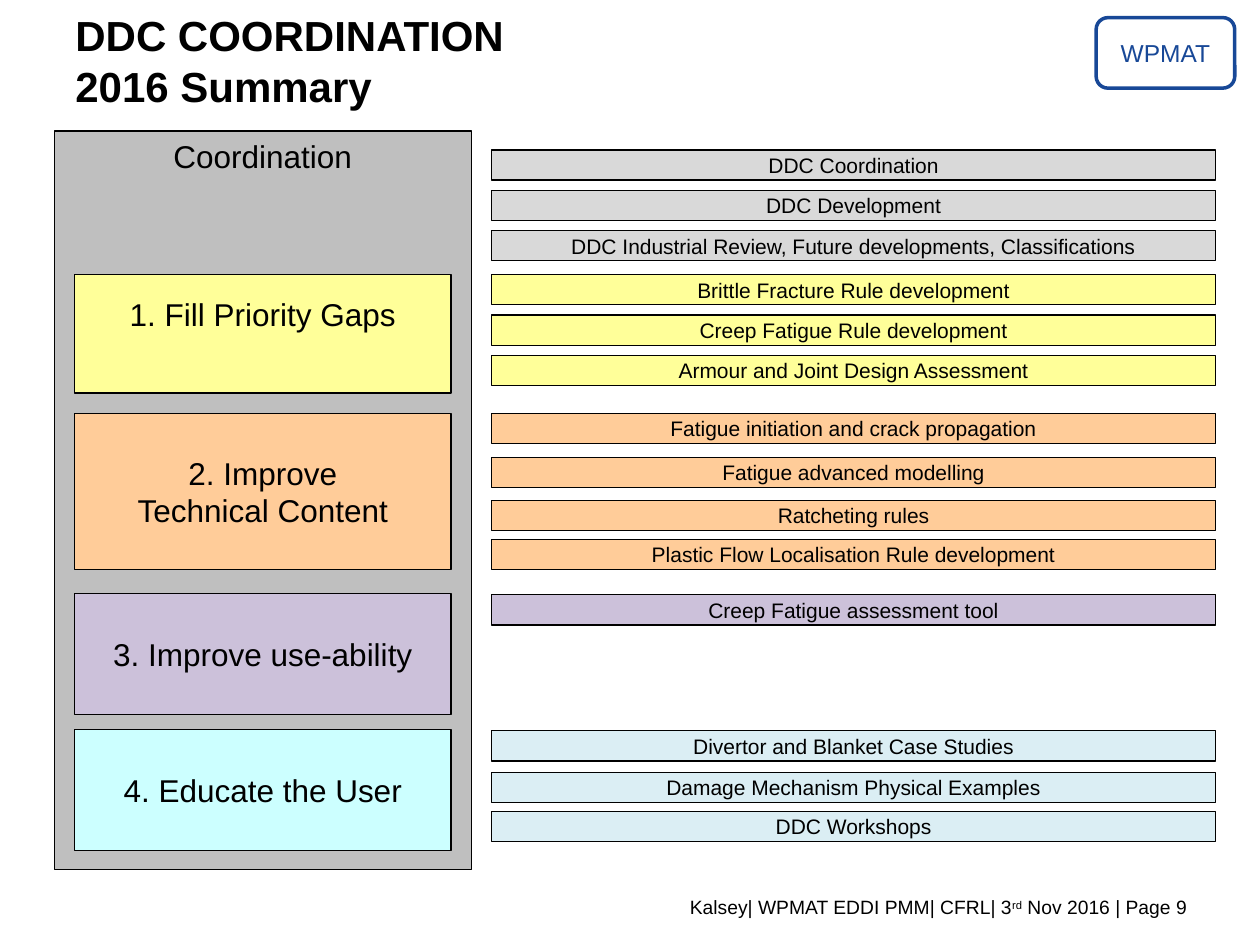
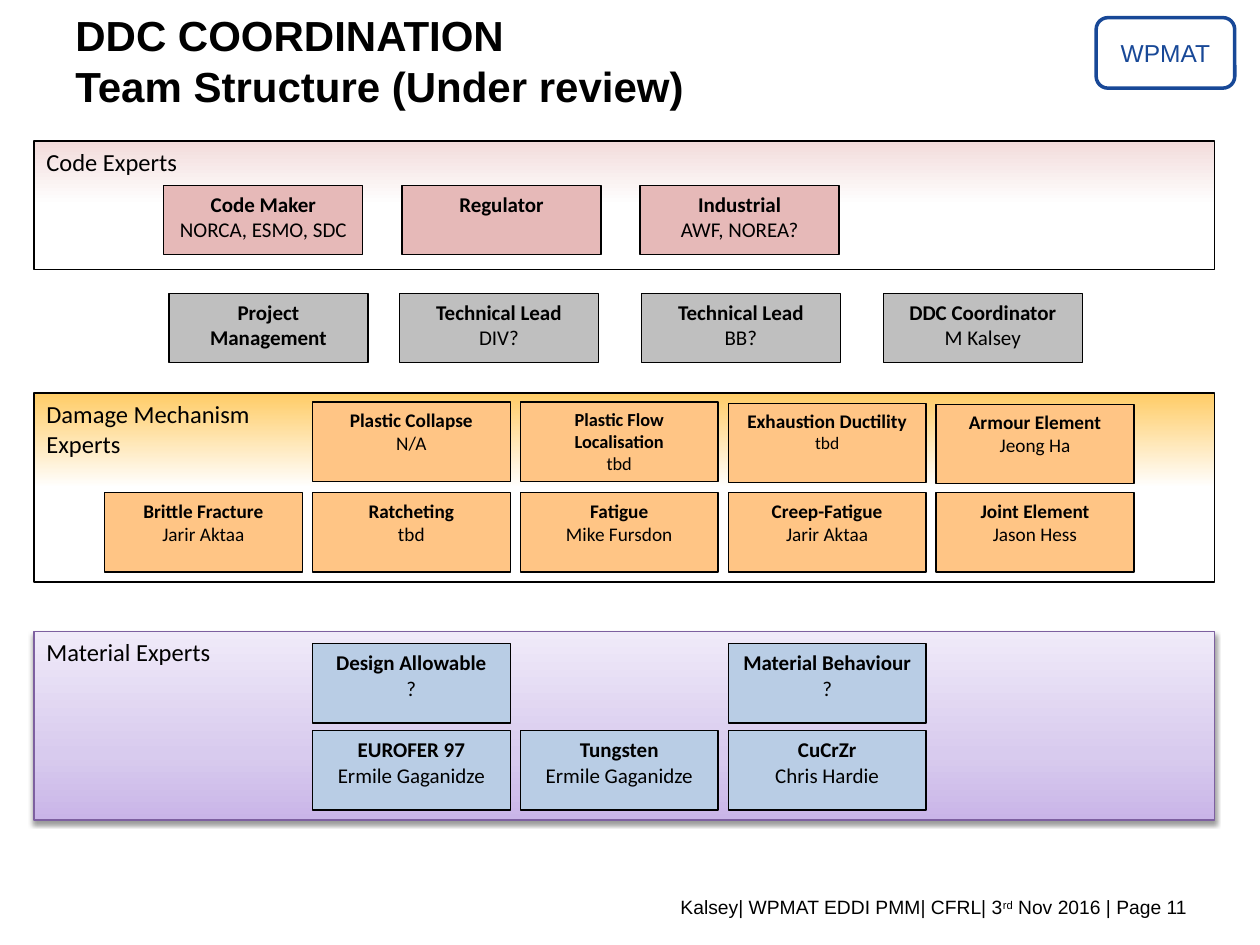
from dataclasses import dataclass

from pptx import Presentation
from pptx.dml.color import RGBColor
from pptx.enum.shapes import MSO_SHAPE
from pptx.enum.text import MSO_ANCHOR, PP_ALIGN
from pptx.oxml import parse_xml
from pptx.oxml.ns import nsdecls, qn
from pptx.util import Inches, Pt

RECT, ROUND = MSO_SHAPE.RECTANGLE, MSO_SHAPE.ROUNDED_RECTANGLE
TOP, MID = MSO_ANCHOR.TOP, MSO_ANCHOR.MIDDLE
LEFT, MIDDLE, RIGHT = PP_ALIGN.LEFT, PP_ALIGN.CENTER, PP_ALIGN.RIGHT


@dataclass(frozen=True)
class Theme:
    """Colours, fonts and type sizes of the deck."""

    sans: str = "Arial"
    body: str = "Calibri"
    ink: str = "000000"
    badge: str = "184897"
    grey: str = "BFBFBF"
    pale: str = "D9D9D9"
    yellow: str = "FFFF99"
    orange: str = "FFCC99"
    purple: str = "CCC1DA"
    cyan: str = "CCFFFF"
    ice: str = "DBEEF4"
    rose: str = "E6B9B8"
    amber: str = "FFC585"
    blue: str = "B9CDE5"
    violet: str = "7D60A0"
    rosy: tuple = ((0, "F2DCDB"), (50, "FFFFFF"), (100, "FFFFFF"))
    golden: tuple = ((0, "FFCC66"), (50, "FFFFFF"), (100, "FFFFFF"))
    lilac: tuple = ((0, "C9B5E8"), (35, "D8CBEE"), (100, "F0EAF9"))
    title: float = 24
    block: float = 18
    label: float = 14
    card: float = 12
    small: float = 11
    tight: float = 10.5
    tiny: float = 10
    hair: float = 0.75


THEME = Theme()

GROUPS = [
    (THEME.pale, [(1.19, "DDC Coordination"), (1.51, "DDC Development"),
                  (1.83, "DDC Industrial Review, Future developments, Classifications")]),
    (THEME.yellow, [(2.18, "Brittle Fracture Rule development"),
                    (2.5, "Creep Fatigue Rule development"),
                    (2.82, "Armour and Joint Design Assessment")]),
    (THEME.orange, [(3.28, "Fatigue initiation and crack propagation"),
                    (3.63, "Fatigue advanced modelling"), (3.97, "Ratcheting rules"),
                    (4.28, "Plastic Flow Localisation Rule development")]),
    (THEME.purple, [(4.72, "Creep Fatigue assessment tool")]),
    (THEME.ice, [(5.8, "Divertor and Blanket Case Studies"),
                 (6.13, "Damage Mechanism Physical Examples"), (6.44, "DDC Workshops")]),
]
GOALS = [
    (2.18, 0.94, THEME.yellow, ["1. Fill Priority Gaps"], 0.36),
    (3.28, 1.24, THEME.orange, ["2. Improve", "Technical Content"], 0.05),
    (4.71, 0.96, THEME.purple, ["3. Improve use-ability"], 0.05),
    (5.79, 0.96, THEME.cyan, ["4. Educate the User"], 0.05),
]
CODE = [("Code Maker", "NORCA, ESMO, SDC"), ("Regulator",), ("Industrial", "AWF, NOREA?")]
LEADS = [(1.34, ("Project Management",)), (3.17, ("Technical Lead", "DIV?")),
         (5.09, ("Technical Lead", "BB?")), (7.01, ("DDC Coordinator", "M Kalsey"))]
DAMAGE = [
    (1, 3.19, ("Plastic Collapse", "N/A"), THEME.small, THEME.small),
    (2, 3.19, ("Plastic Flow Localisation", "tbd"), THEME.tight, THEME.tight),
    (3, 3.2, ("Exhaustion Ductility", "tbd"), THEME.small, THEME.tiny),
    (4, 3.21, ("Armour Element", "Jeong Ha"), THEME.small, THEME.small),
] + [(col, 3.91, names, THEME.small, THEME.small) for col, names in enumerate([
    ("Brittle Fracture", "Jarir Aktaa"), ("Ratcheting", "tbd"),
    ("Fatigue", "Mike Fursdon"), ("Creep-Fatigue", "Jarir Aktaa"),
    ("Joint Element", "Jason Hess")])]
STOCK = [
    (1, 5.11, ("Design Allowable", "?")), (3, 5.11, ("Material Behaviour", "?")),
    (1, 5.8, ("EUROFER 97", "Ermile Gaganidze")),
    (2, 5.8, ("Tungsten", "Ermile Gaganidze")), (3, 5.8, ("CuCrZr", "Chris Hardie")),
]


def dress(item, values):
    """Set each named attribute of an object."""
    for name, value in values.items():
        setattr(item, name, value)


def font(size, face=THEME.sans, bold=False):
    """Return the format values of a run."""
    return {"size": Pt(size), "name": face, "bold": bold}


def write(shape, lines, align=MIDDLE, color=THEME.ink, **frame):
    """Fill a shape with paragraphs, each a list of text and format pairs."""
    text = shape.text_frame
    dress(text, {"word_wrap": True, "vertical_anchor": TOP, **frame})
    for spot, line in enumerate(lines):
        para = text.paragraphs[0] if spot == 0 else text.add_paragraph()
        para.alignment = align
        for words, style in line:
            run = para.add_run()
            run.text = words
            dress(run.font, style)
            run.font.color.rgb = RGBColor.from_string(color)


def box(slide, at, fill=None, line=THEME.ink, width=THEME.hair, kind=RECT):
    """Add a flat outlined shape."""
    shape = slide.shapes.add_shape(kind, *map(Inches, at))
    shape.shadow.inherit = False
    if fill:
        shape.fill.solid()
        shape.fill.fore_color.rgb = RGBColor.from_string(fill)
    else:
        shape.fill.background()
    shape.line.color.rgb = RGBColor.from_string(line)
    shape.line.width = Pt(width)
    return shape


def blend(shape, stops, angle):
    """Give a shape a linear gradient."""
    marks = "".join(f'<a:gs pos="{pos * 1000}"><a:srgbClr val="{tint}"/></a:gs>'
                    for pos, tint in stops)
    props = shape.element.spPr
    props.replace(props.find(qn("a:noFill")), parse_xml(
        f'<a:gradFill {nsdecls("a")} rotWithShape="1"><a:gsLst>{marks}</a:gsLst>'
        f'<a:lin ang="{angle * 60000}" scaled="0"/></a:gradFill>'))


def shade(shape):
    """Give a shape a soft shadow below it."""
    shape.element.spPr.find(qn("a:effectLst")).append(parse_xml(
        f'<a:outerShdw {nsdecls("a")} blurRad="{Pt(3.1)}" dist="{Pt(1.6)}" '
        'dir="5400000" rotWithShape="0"><a:srgbClr val="000000">'
        '<a:alpha val="38000"/></a:srgbClr></a:outerShdw>'))


def band(slide, top, height, lines, stops, angle=90, line=THEME.ink):
    """Add a full-width gradient band with its label."""
    shape = box(slide, (0.27, top, 9.37, height), line=line)
    blend(shape, stops, angle)
    write(shape, [[(text, font(THEME.label, THEME.body))] for text in lines], LEFT)
    return shape


def card(slide, at, fill, names, size=THEME.card, sub=None):
    """Add a team card with a bold role and the person below."""
    styles = font(size, THEME.body, True), font(sub or size, THEME.body)
    write(box(slide, at, fill), [[pair] for pair in zip(names, styles)])


def column(col):
    """Return the left edge of an expert column."""
    return 0.83 + 1.65 * col


def start(deck, topic, page):
    """Add a slide with badge, footer and title."""
    slide = deck.slides.add_slide(deck.slide_layouts[6])
    badge = box(slide, (8.7, 0.14, 1.1, 0.56), line=THEME.badge, width=2, kind=ROUND)
    write(badge, [[("WPMAT", font(THEME.label))]], color=THEME.badge, vertical_anchor=MID)

    foot = slide.shapes.add_textbox(*map(Inches, (0.51, 7.06, 9.01, 0.29)))
    plain = font(THEME.small)
    write(foot, [[("Kalsey| WPMAT EDDI PMM| CFRL| 3", plain), ("rd", plain),
                  (f" Nov 2016 | Page {page}", plain)]], RIGHT)
    rank = foot.text_frame.paragraphs[0].runs[1]
    rank.font._element.set("baseline", "30000")

    head = slide.shapes.add_textbox(*map(Inches, (0.5, 0.03, 5.1, 0.91)))
    write(head, [[(text, font(THEME.title, bold=True))]
                 for text in ("DDC COORDINATION", topic)], LEFT, word_wrap=False)
    return slide


def summary(deck):
    """Build the yearly summary slide."""
    slide = start(deck, "2016 Summary", 9)
    panel = box(slide, (0.43, 1.04, 3.31, 5.86), THEME.grey)
    write(panel, [[("Coordination", font(THEME.block))]])
    for top, height, fill, lines, inset in GOALS:
        write(box(slide, (0.59, top, 2.99, height), fill),
              [[(text, font(THEME.block))] for text in lines],
              vertical_anchor=MID, word_wrap=False, margin_bottom=Inches(inset))
    for fill, tasks in GROUPS:
        for top, text in tasks:
            write(box(slide, (3.9, top, 5.75, 0.24), fill),
                  [[(text, font(THEME.card))]], vertical_anchor=MID, word_wrap=False)


def team(deck):
    """Build the team structure slide."""
    slide = start(deck, "Team Structure (Under review)", 11)
    shade(band(slide, 5.01, 1.5, ["Material Experts"], THEME.lilac, 270, THEME.violet))
    band(slide, 3.12, 1.5, ["Damage Mechanism", "Experts"], THEME.golden)
    band(slide, 1.12, 1.02, ["Code Experts"], THEME.rosy)
    for col, names in enumerate(CODE):
        card(slide, (1.3 + 1.89 * col, 1.47, 1.58, 0.55), THEME.rose, names)
    for left, names in LEADS:
        card(slide, (left, 2.33, 1.58, 0.55), THEME.grey, names)
    for col, top, names, size, sub in DAMAGE:
        card(slide, (column(col), top, 1.57, 0.63), THEME.amber, names, size, sub)
    for col, top, names in STOCK:
        card(slide, (column(col), top, 1.57, 0.63), THEME.blue, names)


def main():
    """Build and save the deck."""
    deck = Presentation()
    deck.slide_width, deck.slide_height = Inches(10), Inches(7.5)
    summary(deck)
    team(deck)
    deck.save("out.pptx")


if __name__ == "__main__":
    main()
